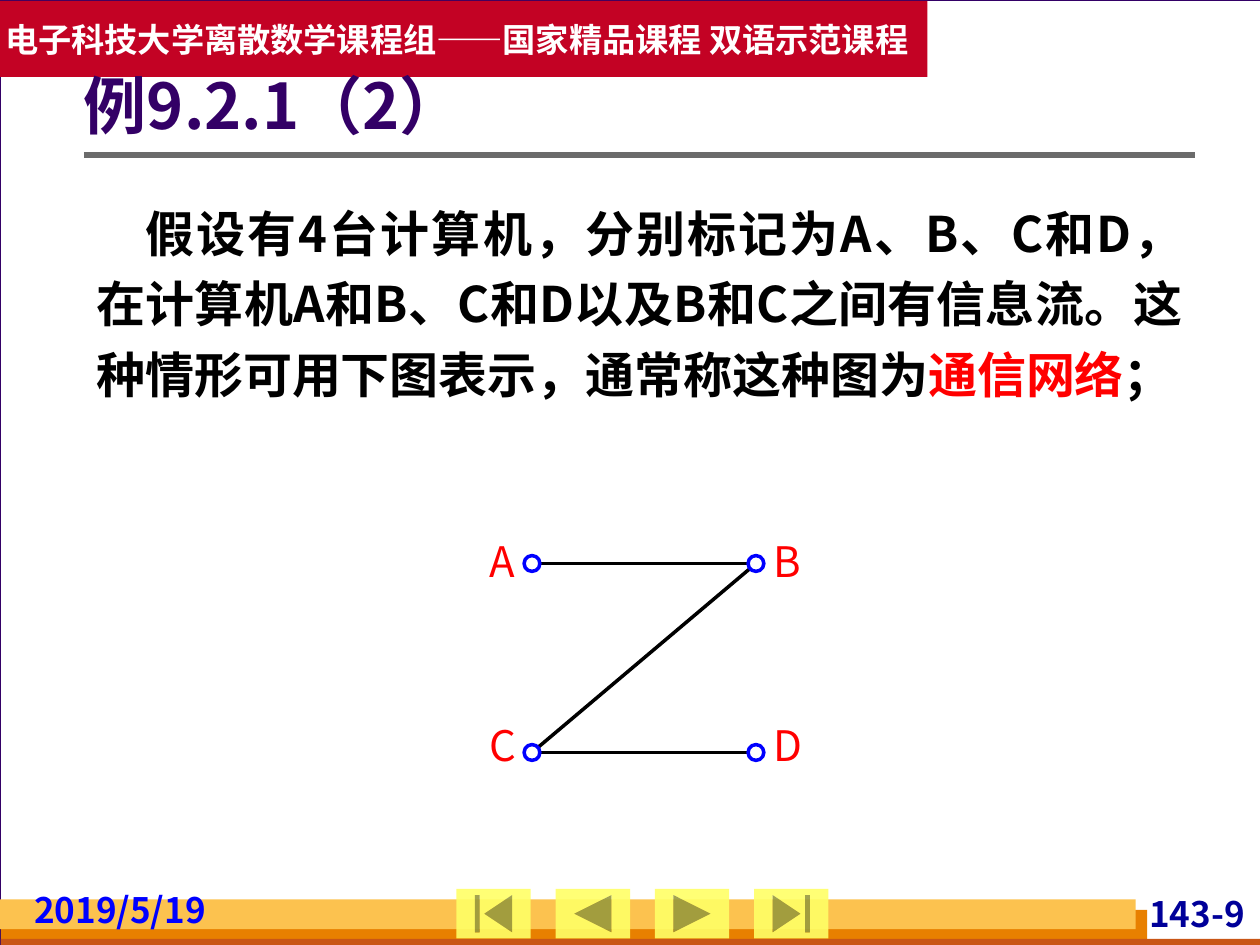
from lxml.etree import SubElement
from pptx import Presentation
from pptx.dml.color import RGBColor
from pptx.enum.shapes import MSO_CONNECTOR, MSO_SHAPE
from pptx.enum.text import MSO_ANCHOR, MSO_AUTO_SIZE, PP_ALIGN
from pptx.oxml.ns import qn
from pptx.util import Pt

FONT = "Noto Sans CJK SC"
WHITE = RGBColor(0xFF, 0xFF, 0xFF)
BLACK = RGBColor(0, 0, 0)
RED = RGBColor(0xFF, 0, 0)
BLUE = RGBColor(0, 0, 0xFF)
NAVY = RGBColor(0, 0, 0x99)
PURPLE = RGBColor(0x33, 0, 0x66)
GRAY = RGBColor(0x6B, 0x6B, 0x6B)
BACKDROP = RGBColor(0xD8, 0xDA, 0xDA)
CRIMSON = RGBColor(0xC3, 0x02, 0x24)
ORANGE = RGBColor(0xE8, 0x80, 0)
RUST = RGBColor(0xC9, 0x56, 0x16)
AMBER = RGBColor(0xFC, 0xC2, 0x4F)
YELLOW = RGBColor(0xFF, 0xFF, 0x66)


def add_span(para, text, size=20, color=BLACK, bold=True):
    span = para.add_run()
    span.text = text
    span.font.name = FONT
    span.font.size = Pt(size)
    span.font.bold = bold
    span.font.color.rgb = color
    SubElement(span.font._element, qn("a:ea"), typeface=FONT)


class SlideBuilder:
    def __init__(self, page):
        self.page = page
        self.shapes = page.shapes

    def shape(self, kind, left, top, width, height, fill, line=None, weight=0.75, alpha=None):
        item = self.shapes.add_shape(kind, Pt(left), Pt(top), Pt(width), Pt(height))
        item.shadow.inherit = False
        item.fill.solid()
        item.fill.fore_color.rgb = fill
        if alpha:
            color = item.fill._xPr.find(".//" + qn("a:srgbClr"))
            SubElement(color, qn("a:alpha"), val=str(alpha * 1000))
        if line is None:
            item.line.fill.background()
        else:
            item.line.color.rgb = line
            item.line.width = Pt(weight)
        return item

    def line(self, start, end, color=BLACK, weight=2):
        points = [Pt(value) for value in (*start, *end)]
        connector = self.shapes.add_connector(MSO_CONNECTOR.STRAIGHT, *points)
        connector.line.color.rgb = color
        connector.line.width = Pt(weight)
        SubElement(connector._element.spPr, qn("a:effectLst"))

    def frame(self, box, margins, anchor=MSO_ANCHOR.TOP, wrap=True, align=PP_ALIGN.LEFT):
        frame = box.text_frame
        frame.auto_size = MSO_AUTO_SIZE.NONE
        frame.word_wrap = wrap
        frame.vertical_anchor = anchor
        frame.margin_left, frame.margin_top, frame.margin_right, frame.margin_bottom = map(Pt, margins)
        para = frame.paragraphs[0]
        para.alignment = align
        return para

    def text(self, left, top, width, height, margins=(3, 0, 3, 0), **layout):
        box = self.shapes.add_textbox(Pt(left), Pt(top), Pt(width), Pt(height))
        return self.frame(box, margins, **layout)

    def title(self, text, left, top, width, height):
        box = self.shapes.title
        box.left, box.top, box.width, box.height = map(Pt, (left, top, width, height))
        self.shapes._spTree.append(box._element)
        para = self.frame(box, (0, 3.6, 7.2, 3.6), MSO_ANCHOR.MIDDLE)
        para.line_spacing = 0.9
        add_span(para, text, size=36, color=PURPLE)

    def node(self, center_x, center_y):
        self.shape(MSO_SHAPE.OVAL, center_x - 4.5, center_y - 4.5, 9, 9, WHITE, BLUE, 2)


def add_background(builder):
    builder.shape(MSO_SHAPE.RECTANGLE, 0, 0, 720.5, 540, WHITE, PURPLE)
    for left, top, width, height, color in (
        (0.5, 520, 655, 20, ORANGE),
        (0.5, 536.5, 720, 5.5, RUST),
        (0, 514, 649, 17, AMBER),
    ):
        builder.shape(MSO_SHAPE.RECTANGLE, left, top, width, height, color)
    page_number = builder.text(626.5, 510, 88, 24, wrap=False, align=PP_ALIGN.RIGHT)
    add_span(page_number, "143-9", color=NAVY)
    builder.line((48, 88.5), (683, 88.5), GRAY, 3)
    buttons = (
        MSO_SHAPE.ACTION_BUTTON_BEGINNING,
        MSO_SHAPE.ACTION_BUTTON_BACK_OR_PREVIOUS,
        MSO_SHAPE.ACTION_BUTTON_FORWARD_OR_NEXT,
        MSO_SHAPE.ACTION_BUTTON_END,
    )
    for index, kind in enumerate(buttons):
        builder.shape(kind, 260.8 + 56.7 * index, 508, 42.5, 28.3, YELLOW, alpha=90)
    banner = builder.shape(MSO_SHAPE.RECTANGLE, 0, 0.5, 530, 43.5, CRIMSON)
    para = builder.frame(banner, (3, 3.6, 3, 3.6), MSO_ANCHOR.MIDDLE, wrap=False)
    add_span(para, "电子科技大学离散数学课程组——国家精品课程 双语示范课程", size=19, color=WHITE)
    add_span(builder.text(16.5, 507.5, 119, 24), "2019/5/19", color=BLUE)


def add_body(builder):
    para = builder.text(48, 106, 635, 128, (7.2, 3.6, 7.2, 3.6), align=PP_ALIGN.JUSTIFY)
    para.line_spacing = 1.2
    para._p.get_or_add_pPr().set("indent", str(Pt(28)))
    add_span(para, "假设有4台计算机，分别标记为A、B、C和D，在计算机A和B、C和D以及B和C之间有"
             "信息流。这种情形可用下图表示，通常称这种图为", size=28)
    add_span(para, "通信网络", size=28, color=RED)
    add_span(para, "；", size=28)


def add_network(builder):
    left, right, top, bottom = 304, 432, 322, 430
    nodes = {"A": (left, top), "B": (right, top), "C": (left, bottom), "D": (right, bottom)}
    for start, end in ("AB", "CD", "BC"):
        builder.line(nodes[start], nodes[end])
    for name, (center_x, center_y) in nodes.items():
        builder.node(center_x, center_y)
        label_left = 280 if center_x == left else 442
        label_top = 306 if center_y == top else 411
        label = builder.text(label_left, label_top, 16, 29, (0, 0, 0, 0), wrap=False)
        add_span(label, name, size=24, color=RED, bold=False)


def main():
    deck = Presentation()
    deck.slide_width, deck.slide_height = Pt(720), Pt(540)
    page = deck.slides.add_slide(deck.slide_layouts[5])
    page.background.fill.solid()
    page.background.fill.fore_color.rgb = BACKDROP
    builder = SlideBuilder(page)
    add_background(builder)
    builder.title("例9.2.1（2）", 48, 26, 635, 73)
    add_body(builder)
    add_network(builder)
    deck.save("out.pptx")


if __name__ == "__main__":
    main()
